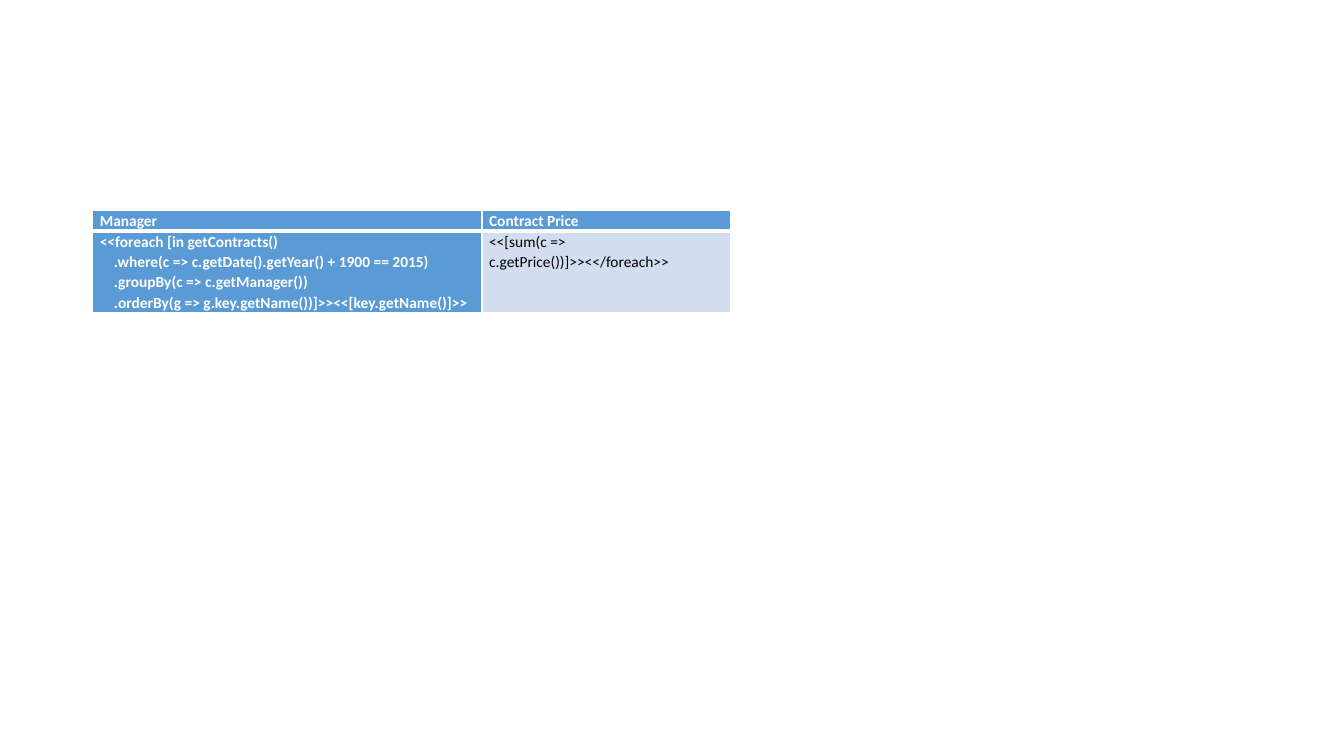
from dataclasses import dataclass

from lxml.etree import SubElement
from pptx import Presentation
from pptx.dml.color import RGBColor as Color
from pptx.oxml.ns import qn
from pptx.util import Inches, Pt


@dataclass(frozen=True)
class Theme:
    font: str = "Calibri"
    size: float = 11
    line_spacing: float = 1.07
    accent: str = "5B9BD5"
    band: str = "D2DEEF"
    light: str = "FFFFFF"
    dark: str = "000000"
    border: float = 1
    header_border: float = 3


THEME = Theme()
SLIDE_WIDTH, SLIDE_HEIGHT = 13.33, 7.5
TABLE_BOX = (0.92, 2.09, 6.33, 1.0)
COLUMN_SHARES = (0.61, 0.39)
LINE_INDENT = 0.14
CELL_MARGIN = 0.07

# Each cell is a list of (text, indent level) lines.
ROWS = [
    [[("Manager", 0)], [("Contract Price", 0)]],
    [
        [
            ("<<foreach [in getContracts()", 0),
            (".where(c => c.getDate().getYear() + 1900 == 2015)", 1),
            (".groupBy(c => c.getManager())", 1),
            (".orderBy(g => g.key.getName())]>><<[key.getName()]>>", 1),
        ],
        [("<<[sum(c => c.getPrice())]>><</foreach>>", 0)],
    ],
]


def set_borders(cell, widths):
    """Draw the cell's edges, with widths in points keyed by L, R, T and B."""
    properties = cell._tc.get_or_add_tcPr()
    for position, (side, width) in enumerate(widths.items()):
        line = properties.makeelement(qn(f"a:ln{side}"), {"w": str(Pt(width))})
        fill = SubElement(line, qn("a:solidFill"))
        SubElement(fill, qn("a:srgbClr"), val=THEME.light)
        properties.insert(position, line)


def write_lines(cell, lines, color, bold):
    frame = cell.text_frame
    frame.word_wrap = True
    for index, (text, level) in enumerate(lines):
        paragraph = frame.add_paragraph() if index else frame.paragraphs[0]
        paragraph.text = text
        paragraph.line_spacing = THEME.line_spacing
        font = paragraph.font
        font.name, font.size, font.bold = THEME.font, Pt(THEME.size), bold
        font.color.rgb = Color.from_string(color)
        if level:
            properties = paragraph._p.get_or_add_pPr()
            properties.set("marL", str(Inches(level * LINE_INDENT)))
            properties.set("indent", "0")


def add_contract_table(slide, box):
    left, top, width, height = box
    shape = slide.shapes.add_table(len(ROWS), len(COLUMN_SHARES), *map(Inches, box))
    table = shape.table
    for column, share in zip(table.columns, COLUMN_SHARES):
        column.width = Inches(width * share)

    line_counts = [max(map(len, row)) for row in ROWS]
    for row, count in zip(table.rows, line_counts):
        row.height = Inches(height * count / sum(line_counts))

    for row_index, row in enumerate(ROWS):
        for column_index, lines in enumerate(row):
            cell = table.cell(row_index, column_index)
            heading = row_index == 0 or column_index == 0
            cell.margin_left = cell.margin_right = Inches(CELL_MARGIN)
            cell.margin_top = cell.margin_bottom = 0
            cell.fill.solid()
            cell.fill.fore_color.rgb = Color.from_string(
                THEME.accent if heading else THEME.band)
            write_lines(cell, lines, THEME.light if heading else THEME.dark, heading)
            widths = dict.fromkeys("LRTB", THEME.border)
            widths["B" if row_index == 0 else "T"] = THEME.header_border
            set_borders(cell, widths)


def main():
    presentation = Presentation()
    presentation.slide_width = Inches(SLIDE_WIDTH)
    presentation.slide_height = Inches(SLIDE_HEIGHT)
    slide = presentation.slides.add_slide(presentation.slide_layouts[6])
    add_contract_table(slide, TABLE_BOX)
    presentation.save("out.pptx")


if __name__ == "__main__":
    main()
